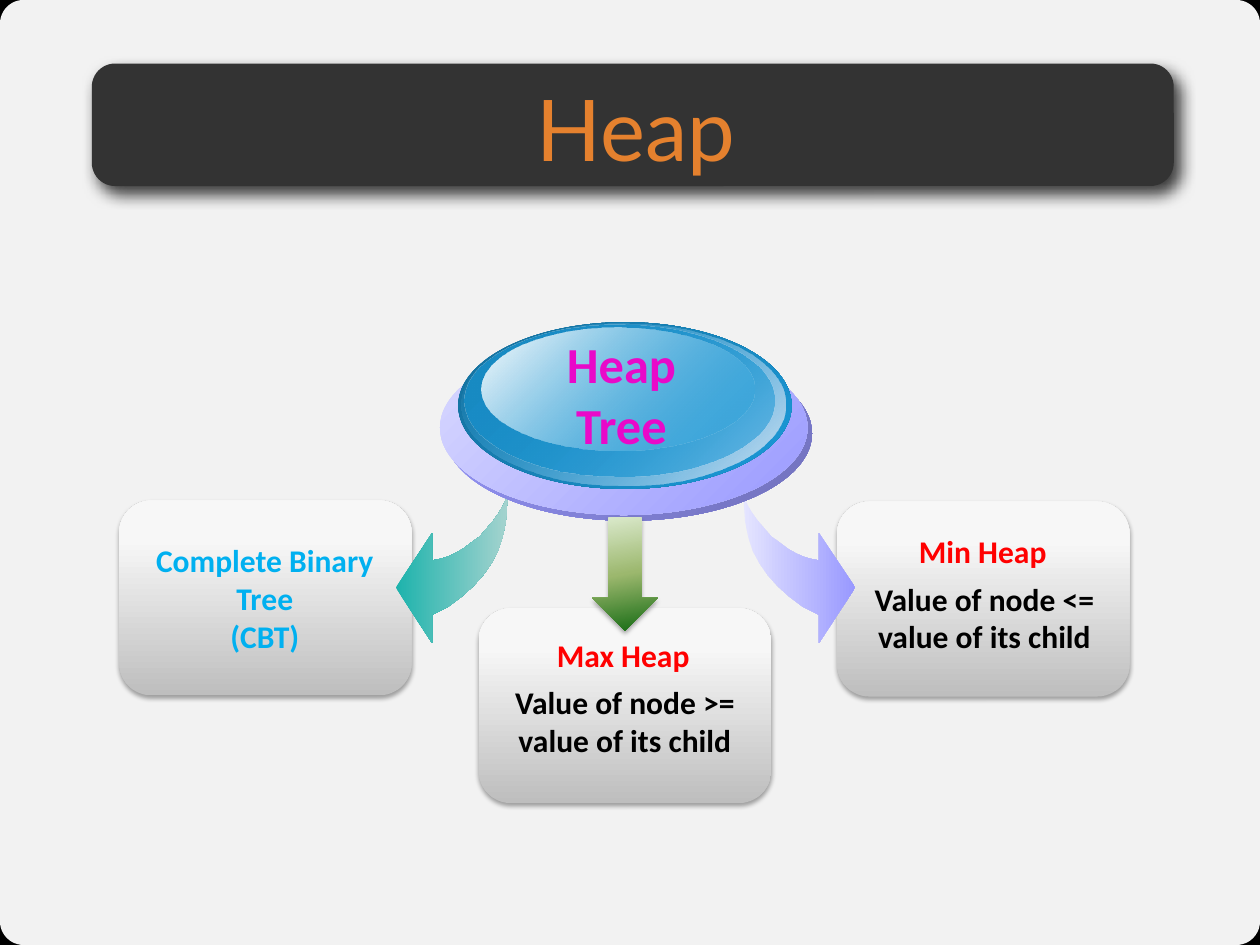
from lxml.etree import SubElement
from pptx import Presentation
from pptx.dml.color import RGBColor
from pptx.enum.shapes import MSO_SHAPE
from pptx.enum.text import MSO_ANCHOR, MSO_AUTO_SIZE, PP_ALIGN
from pptx.oxml.ns import qn
from pptx.util import Pt

PX = 9144  # 100 px to the inch


def paint(sp, *stops, angle=0, shadow=None):
    """Stops are (position %, hex, opacity %); shadow is (opacity, blur pt, distance pt, angle)."""
    sp.line.fill.background()
    sp.shadow.inherit = False
    spPr = sp._element.spPr
    if len(stops) == 1:
        sp.fill.solid()
        holders = [spPr.find(qn("a:solidFill"))]
        holders[0].clear()
    else:
        sp.fill.gradient()
        sp.fill.gradient_angle = (360 - angle) % 360
        gs_list = spPr.find(qn("a:gradFill")).find(qn("a:gsLst"))
        gs_list.clear()
        holders = [SubElement(gs_list, qn("a:gs"), pos=str(pos * 1000)) for pos, *_ in stops]
    colours = [(holder, hex_, alpha) for holder, (_, hex_, alpha) in zip(holders, stops)]
    if shadow:
        opacity, blur, distance, direction = shadow
        outer = SubElement(spPr.find(qn("a:effectLst")), qn("a:outerShdw"),
                           blurRad=str(int(blur * 12700)), dist=str(int(distance * 12700)),
                           dir=str(direction * 60000), algn="ctr", rotWithShape="0")
        colours.append((outer, "000000", opacity))
    for holder, hex_, alpha in colours:
        clr = SubElement(holder, qn("a:srgbClr"), val=hex_)
        if alpha < 100:
            SubElement(clr, qn("a:alpha"), val=str(alpha * 1000))


def write(tf, text, size=20, color="000000", font="Calibri", bold=True):
    tf.word_wrap = True
    for i, line in enumerate(text.split("\n")):
        p = tf.add_paragraph() if i else tf.paragraphs[0]
        p.alignment = PP_ALIGN.CENTER
        r = p.add_run()
        r.text = line
        r.font.size, r.font.name, r.font.bold = Pt(size), font, bold
        r.font.color.rgb = RGBColor.from_string(color)


prs = Presentation()
prs.slide_width, prs.slide_height = 1111 * PX, 833 * PX
slide = prs.slides.add_slide(prs.slide_layouts[5])
shapes = slide.shapes

# Background panel and title bar
slide.background.fill.solid()
slide.background.fill.fore_color.rgb = RGBColor.from_string("000000")
panel = shapes.add_shape(MSO_SHAPE.ROUNDED_RECTANGLE, 0, 0, 1111 * PX, 833 * PX)
panel.adjustments[0] = 0.025
paint(panel, (0, "FFFFFF", 95))
bar = shapes.add_shape(MSO_SHAPE.ROUNDED_RECTANGLE, 81 * PX, 56 * PX, 954 * PX, 108 * PX)
bar.adjustments[0] = 0.19
paint(bar, (0, "333333", 100), shadow=(75, 10, 6, 51))

# Title, brought in front of its bar
title = shapes.title
title._element.getparent().append(title._element)
title.left, title.top, title.width, title.height = 86 * PX, 62 * PX, 950 * PX, 100 * PX
tf = title.text_frame
tf.auto_size = MSO_AUTO_SIZE.NONE
tf.vertical_anchor = MSO_ANCHOR.MIDDLE
tf.margin_left = tf.margin_top = tf.margin_right = tf.margin_bottom = 0
write(tf, "Heap", size=54, color="E5812E", font="Lato", bold=False)

# Grey boxes
SOFT_SHADOW = (35, 3.1, 1.8, 90)
for x, y in [(738, 442), (105, 441), (422, 536)]:
    sp = shapes.add_shape(MSO_SHAPE.ROUNDED_RECTANGLE, x * PX, y * PX, 258 * PX, 172 * PX)
    paint(sp, (0, "BEBEBE", 100), (80, "F7F7F7", 100), (100, "F8F8F8", 100),
          angle=270, shadow=SOFT_SHADOW)

# Curved arrows: the right one mirrors the left one
CURVE = [(448, 431), (447, 446), (446, 460), (443, 474), (439, 486), (433, 497), (426, 507),
         (417, 517), (407, 526), (395, 535), (381, 542), (381, 567), (349, 518), (381, 470),
         (381, 494), (387, 493), (394, 491), (401, 488), (408, 484), (416, 478), (423, 473),
         (429, 466), (435, 459), (440, 452), (444, 445), (447, 438), (447, 431)]
MIRROR = 1103
left_arrow = CURVE
right_arrow = [(MIRROR - x, y) for x, y in CURVE]
for points, start, end in [(left_arrow, "1DB3AC", "A5D3CF"), (right_arrow, "E5E5FF", "9999FF")]:
    builder = shapes.build_freeform(*points[0], scale=PX)
    builder.add_line_segments(points[1:], close=True)
    paint(builder.convert_to_shape(), (0, start, 100), (100, end, 100))

# Glossy button, from back to front
for x, y, w, h, start, end in [
    (392, 305, 324, 154, ("9999FF", 100), ("7070BA", 100)),
    (388, 300, 324, 154, ("DADAFF", 100), ("9999FF", 100)),
    (404, 284, 294, 147, ("136E9B", 100), ("1B9AD9", 100)),
    (407, 285, 286, 143, ("1B9AD9", 0), ("D4E2F3", 100)),
    (410, 286, 273, 134, ("188BC4", 100), ("1B9AD9", 48)),
    (425, 289, 240, 108, ("FFFFFF", 100), ("1B9AD9", 38)),
]:
    sp = shapes.add_shape(MSO_SHAPE.OVAL, x * PX, y * PX, w * PX, h * PX)
    paint(sp, (0, *start), (100, *end), angle=45)

# Down arrow
down = shapes.add_shape(MSO_SHAPE.DOWN_ARROW, 522 * PX, 456 * PX, 58 * PX, 100 * PX)
paint(down, (0, "DDEBCF", 100), (50, "9CB86E", 100), (100, "156B13", 100),
      angle=80, shadow=SOFT_SHADOW)

# Labels
for x, y, w, h, text, fmt in [
    (483, 289, 130, 118, "Heap\nTree", dict(size=32, color="E909C9")),
    (122, 472, 223, 111, "Complete Binary Tree\n(CBT)", dict(color="00B0F0")),
    (438, 556, 223, 44, "Max Heap", dict(color="FF0000")),
    (430, 597, 242, 111, "Value of node >= value of its child", {}),
    (755, 464, 223, 44, "Min Heap", dict(color="FF0000")),
    (747, 506, 242, 111, "Value of node <= value of its child", {}),
]:
    tb = shapes.add_textbox(x * PX, y * PX, w * PX, h * PX)
    write(tb.text_frame, text, **fmt)

prs.save("out.pptx")
